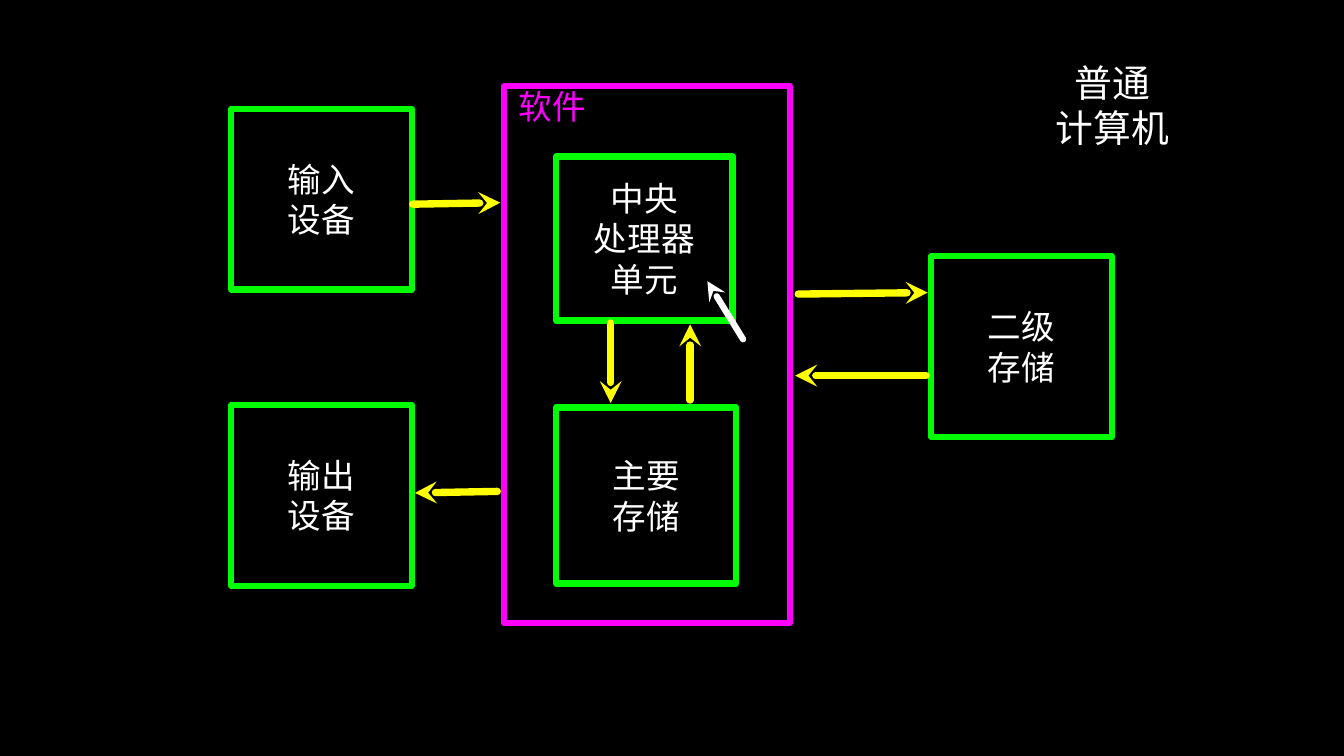
"""Build a slide with a block diagram of a generic computer."""
from lxml.etree import SubElement
from pptx import Presentation
from pptx.dml.color import RGBColor as Color
from pptx.enum.shapes import MSO_CONNECTOR as Connector, MSO_SHAPE as Shape
from pptx.enum.text import MSO_ANCHOR as Anchor, PP_ALIGN as Align
from pptx.oxml.ns import qn
from pptx.util import Cm, Pt

COLORS = {
    "background": "000000",
    "software": "FF00FF",
    "device": "00FF00",
    "flow": "FFFF00",
    "white": "FFFFFF",
}
FONT = "Cabin"


def write(box, text, size=32, color="white", align=Align.CENTER, anchor=Anchor.MIDDLE, indent=0):
    frame = box.text_frame
    frame.word_wrap = True
    frame.vertical_anchor = anchor
    frame.margin_left = Cm(indent)
    frame.margin_right = frame.margin_top = frame.margin_bottom = 0
    for index, line in enumerate(text.split("\n")):
        para = frame.paragraphs[0] if index == 0 else frame.add_paragraph()
        para.alignment = align
        span = para.add_run()
        span.text = line
        span.font.size = Pt(size)
        span.font.name = FONT
        span.font.color.rgb = Color.from_string(COLORS[color])
        SubElement(span.font._element, qn("a:ea"), typeface=FONT)


deck = Presentation()
deck.slide_width, deck.slide_height = Cm(45.16), Cm(25.4)
page = deck.slides.add_slide(deck.slide_layouts[6])
page.background.fill.solid()
page.background.fill.fore_color.rgb = Color.from_string(COLORS["background"])

software_label = {"color": "software", "align": Align.LEFT, "anchor": Anchor.TOP, "indent": 0.5}
side = 6.07
blocks = [
    ("软件", 16.94, 2.9, 9.6, 18.03, "software", software_label),
    ("输入\n设备", 7.77, 3.66, side, side, "device", {}),
    ("中央\n处理器\n单元", 18.69, 5.26, 5.92, 5.51, "device", {}),
    ("主要\n存储", 18.69, 13.69, 6.05, 5.92, "device", {}),
    ("输出\n设备", 7.77, 13.61, side, side, "device", {}),
    ("二级\n存储", 31.29, 8.61, side, side, "device", {}),
]
for text, left, top, width, height, color, text_format in blocks:
    block = page.shapes.add_shape(Shape.RECTANGLE, Cm(left), Cm(top), Cm(width), Cm(height))
    block.shadow.inherit = False
    block.fill.background()
    block.line.color.rgb = Color.from_string(COLORS[color])
    block.line.width = Pt(6)
    write(block, text, **text_format)

title = page.shapes.add_textbox(Cm(34.54), Cm(1.93), Cm(5.69), Cm(3.18))
write(title, "普通\n计算机", size=36)

arrows = [
    (16.81, 6.81, 13.87, 6.86, "flow", 7),
    (20.52, 13.54, 20.52, 10.85, "flow", 7),
    (23.19, 10.9, 23.19, 13.44, "flow", 7),
    (13.94, 16.56, 16.71, 16.51, "flow", 7),
    (31.17, 9.83, 26.82, 9.88, "flow", 7),
    (26.72, 12.62, 31.12, 12.62, "flow", 7),
    (23.77, 9.45, 24.97, 11.4, "white", 6),
]
for head_x, head_y, tail_x, tail_y, color, weight in arrows:
    arrow = page.shapes.add_connector(
        Connector.STRAIGHT, Cm(head_x), Cm(head_y), Cm(tail_x), Cm(tail_y)
    )
    arrow.line.color.rgb = Color.from_string(COLORS[color])
    arrow.line.width = Pt(weight)
    stroke = arrow.line._get_or_add_ln()
    stroke.set("cap", "rnd")
    SubElement(stroke, qn("a:headEnd"), type="stealth", w="med", len="med")
    SubElement(arrow._element.spPr, qn("a:effectLst"))

deck.save("out.pptx")
